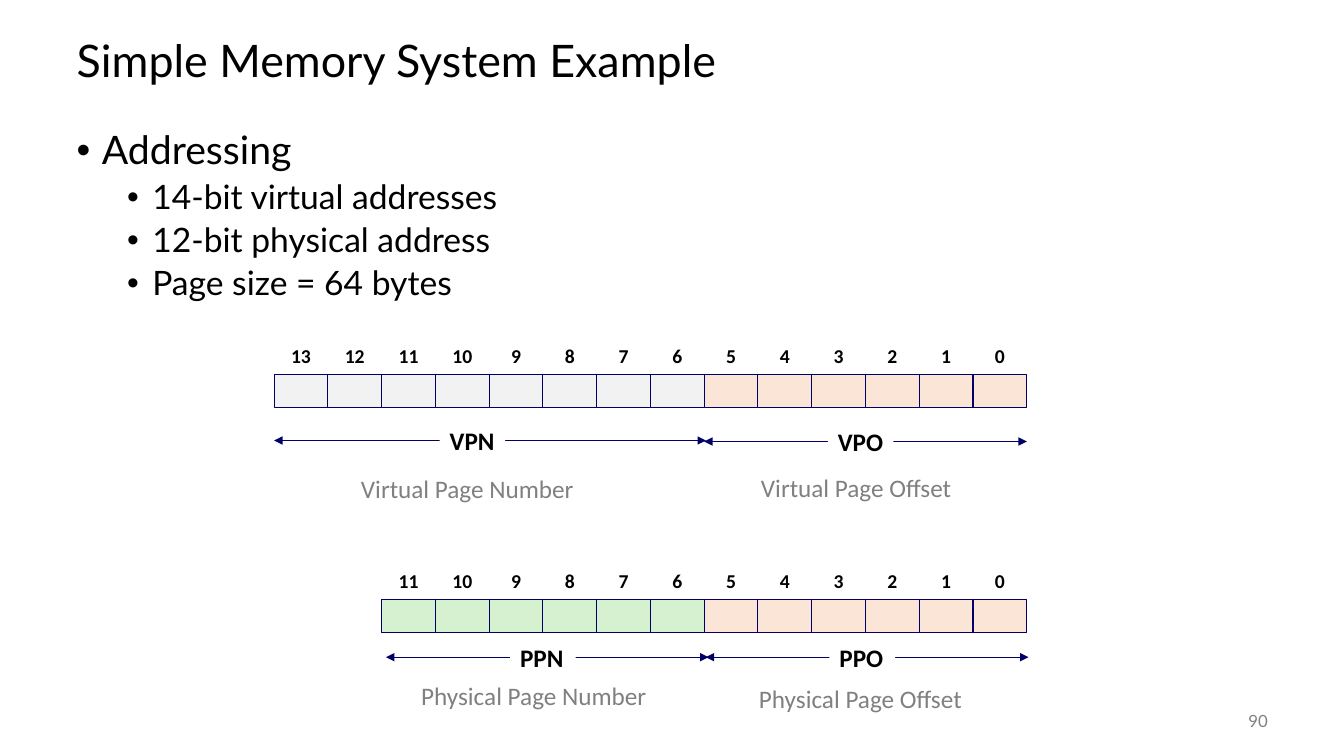
from dataclasses import dataclass

from lxml import etree
from pptx import Presentation
from pptx.dml.color import RGBColor
from pptx.enum.shapes import MSO_CONNECTOR, MSO_SHAPE
from pptx.enum.text import MSO_ANCHOR, MSO_AUTO_SIZE, PP_ALIGN
from pptx.oxml.ns import qn
from pptx.shapes.autoshape import Shape
from pptx.shapes.connector import Connector
from pptx.slide import Slide
from pptx.text.text import TextFrame
from pptx.util import Inches, Pt

RECTANGLE = MSO_SHAPE.RECTANGLE
STRAIGHT = MSO_CONNECTOR.STRAIGHT
MIDDLE, TOP = MSO_ANCHOR.MIDDLE, MSO_ANCHOR.TOP
LEFT, CENTER, RIGHT = PP_ALIGN.LEFT, PP_ALIGN.CENTER, PP_ALIGN.RIGHT
FIXED, FIT_SHAPE = MSO_AUTO_SIZE.NONE, MSO_AUTO_SIZE.SHAPE_TO_FIT_TEXT

WIDTH, HEIGHT = Inches(13.33), Inches(7.5)
COLUMN, ROW = WIDTH / 25, HEIGHT / 22.5
BLACK, GRAY, NAVY, WHITE = "000000", "808080", "000066", "FFFFFF"
LIGHT_GRAY, GREEN, PEACH = "F2F2F2", "D5F1CF", "FBE5D6"
HEADING_FONT, LABEL_FONT = "Lato", "Calibri"
OFFSET_BITS = 6
LAST_COLUMN = 19.1
LABEL_HEIGHT = 1.08


@dataclass(frozen=True)
class Address:
    """A row of numbered bits, ending at the last column."""
    bits: int
    row: float
    page_color: str


@dataclass(frozen=True)
class Span:
    """A double arrow with its abbreviation."""
    text: str
    start: float
    end: float
    row: float
    label_column: float


@dataclass(frozen=True)
class Caption:
    """The full name of an address field."""
    text: str
    column: float
    row: float
    columns: float
    alignment: PP_ALIGN = LEFT


@dataclass(frozen=True)
class Bullet:
    """A list entry with its indent in inches and size in points."""
    text: str
    level: int
    indent: float
    size: int
    space_before: int


ADDRESSES = (Address(14, 10.14, LIGHT_GRAY), Address(12, 16.83, GREEN))
SPANS = (
    Span("VPO", 13.1, 19.1, 13.14, 15.4),
    Span("PPO", 13.13, 19.13, 19.56, 15.43),
    Span("PPN", 7.18, 13.18, 19.56, 9.49),
    Span("VPN", 5.1, 13.13, 13.11, 8.18),
)
CAPTIONS = (
    Caption("Virtual Page Number", 6.53, 14.07, 4.46),
    Caption("Virtual Page Offset", 13.97, 14.04, 4.05),
    Caption("Physical Page Number", 7.65, 20.22, 4.69),
    Caption("Physical Page Offset", 13.86, 20.31, 4.29, CENTER),
)
BULLETS = (
    Bullet("Addressing", 0, 0.25, 28, 0),
    Bullet("14-bit virtual addresses", 1, 0.75, 24, 5),
    Bullet("12-bit physical address", 1, 0.75, 24, 5),
    Bullet("Page size = 64 bytes", 1, 0.75, 24, 5),
)


def color(value: str) -> RGBColor:
    """Turn a hex string into a colour."""
    return RGBColor.from_string(value)


def box(column: float, row: float, columns: float, rows: float) -> tuple[int, int, int, int]:
    """Turn grid units into left, top, width and height."""
    return int(column * COLUMN), int(row * ROW), int(columns * COLUMN), int(rows * ROW)


def move(shape: Shape, bounds: tuple[int, int, int, int]) -> None:
    """Place a shape within the given bounds."""
    shape.left, shape.top, shape.width, shape.height = bounds


def write(frame: TextFrame, text: str, size: int, font: str, ink: str = BLACK,
          bold: bool = False, alignment: PP_ALIGN = LEFT, spacing: float = 0.88) -> None:
    """Set one formatted paragraph."""
    frame.text = text
    paragraph = frame.paragraphs[0]
    paragraph.alignment = alignment
    paragraph.line_spacing = spacing
    paragraph.space_before = Pt(0)
    for run in paragraph.runs:
        run.font.size, run.font.name, run.font.bold = Pt(size), font, bold
        run.font.color.rgb = color(ink)


def frame_layout(frame: TextFrame, anchor: MSO_ANCHOR, auto_size: MSO_AUTO_SIZE,
                 wrap: bool = False) -> None:
    """Set anchoring, fitting and wrapping."""
    frame.vertical_anchor, frame.auto_size, frame.word_wrap = anchor, auto_size, wrap


def paint(shape: Shape, fill: str) -> None:
    """Give a shape a flat fill without shadow."""
    shape.shadow.inherit = False
    shape.fill.solid()
    shape.fill.fore_color.rgb = color(fill)


def style_arrow(arrow: Connector) -> None:
    """Draw a thin navy line with triangles at both ends."""
    arrow.line.color.rgb, arrow.line.width = color(NAVY), Pt(0.75)
    line = arrow.line._get_or_add_ln()
    for end in ("a:headEnd", "a:tailEnd"):
        etree.SubElement(line, qn(end), type="triangle")
    etree.SubElement(line.getparent(), qn("a:effectLst"))


def add_heading_and_list(slide: Slide) -> None:
    """Fill the title and body placeholders."""
    title, body = slide.shapes.title, slide.placeholders[1]
    move(title, box(1.24, 0.75, 22.5, 2.25))
    frame_layout(title.text_frame, MIDDLE, FIXED, True)
    write(title.text_frame, "Simple Memory System Example", 32, HEADING_FONT, spacing=0.9)
    move(body, box(1.24, 3.75, 22.5, 16.5))
    frame_layout(body.text_frame, TOP, FIXED, True)
    body.text_frame.text = "\n".join(bullet.text for bullet in BULLETS)
    for paragraph, bullet in zip(body.text_frame.paragraphs, BULLETS):
        paragraph.level = bullet.level
        properties = paragraph._p.get_or_add_pPr()
        properties.set("marL", str(Inches(bullet.indent)))
        properties.set("indent", str(Inches(-0.25)))
        etree.SubElement(properties, qn("a:buChar"), char="•")
        paragraph.line_spacing, paragraph.space_before = 0.9, Pt(bullet.space_before)
        for run in paragraph.runs:
            run.font.size, run.font.name = Pt(bullet.size), HEADING_FONT
            run.font.color.rgb = color(BLACK)


def add_address(slide: Slide, address: Address) -> None:
    """Draw the cells of an address with bit numbers above."""
    for bit in reversed(range(address.bits)):
        column = LAST_COLUMN - bit - 1
        cell = slide.shapes.add_shape(RECTANGLE, *box(column, address.row + 1, 1, 1))
        paint(cell, PEACH if bit < OFFSET_BITS else address.page_color)
        cell.line.color.rgb, cell.line.width = color(NAVY), Pt(0.75)
        number = slide.shapes.add_textbox(*box(column, address.row, 1, 1))
        frame_layout(number.text_frame, MIDDLE, FIXED)
        write(number.text_frame, str(bit), 14, LABEL_FONT, bold=True, alignment=CENTER)


def add_span(slide: Slide, span: Span) -> None:
    """Draw a grouped double arrow and label."""
    group = slide.shapes.add_group_shape()
    left, top, width, _ = box(span.start, span.row, span.end - span.start, 0)
    style_arrow(group.shapes.add_connector(STRAIGHT, left, top, left + width, top))
    label = group.shapes.add_shape(
        RECTANGLE, *box(span.label_column, span.row - 0.48, 1.22, LABEL_HEIGHT))
    paint(label, WHITE)
    label.line.fill.background()
    frame_layout(label.text_frame, TOP, FIT_SHAPE)
    write(label.text_frame, span.text, 18, LABEL_FONT, bold=True)


def add_caption(slide: Slide, caption: Caption) -> None:
    """Write the gray name of an address field."""
    bounds = box(caption.column, caption.row, caption.columns, LABEL_HEIGHT)
    frame = slide.shapes.add_textbox(*bounds).text_frame
    frame_layout(frame, TOP, FIT_SHAPE)
    write(frame, caption.text, 18, LABEL_FONT, GRAY, alignment=caption.alignment)


def main() -> None:
    """Build and save the slide."""
    presentation = Presentation()
    presentation.slide_width, presentation.slide_height = WIDTH, HEIGHT
    slide = presentation.slides.add_slide(presentation.slide_layouts[1])
    add_heading_and_list(slide)
    for address in ADDRESSES:
        add_address(slide, address)
    for span in SPANS:
        add_span(slide, span)
    for caption in CAPTIONS:
        add_caption(slide, caption)
    page = slide.shapes.add_textbox(*box(21.89, 20.85, 1.88, 1.2)).text_frame
    frame_layout(page, MIDDLE, FIXED, True)
    write(page, "90", 12, HEADING_FONT, GRAY, alignment=RIGHT, spacing=1.0)
    presentation.save("out.pptx")


if __name__ == "__main__":
    main()
